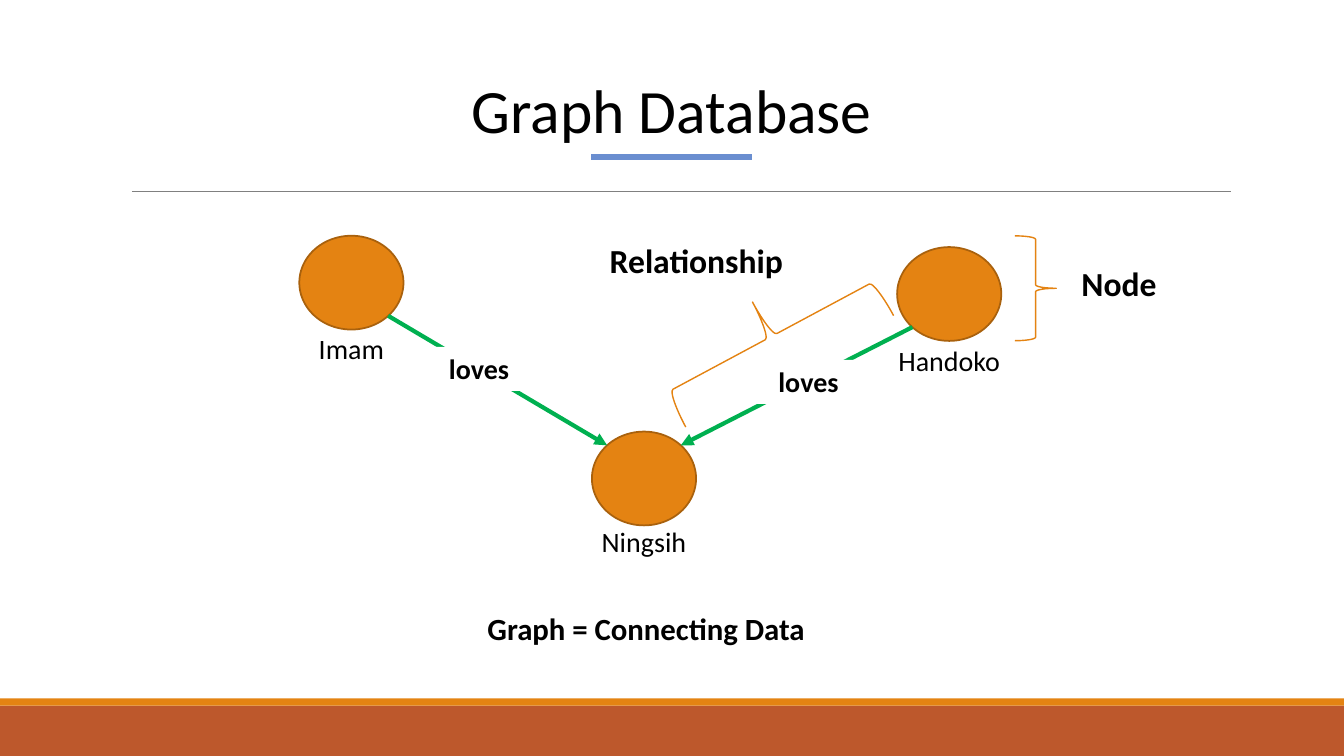
from math import sqrt

from lxml.etree import SubElement
from pptx import Presentation
from pptx.dml.color import RGBColor
from pptx.enum.shapes import MSO_CONNECTOR, MSO_SHAPE
from pptx.enum.text import MSO_ANCHOR, PP_ALIGN
from pptx.oxml.ns import qn
from pptx.util import Pt

BLACK = RGBColor(0x00, 0x00, 0x00)
WHITE = RGBColor(0xFF, 0xFF, 0xFF)
GRAY = RGBColor(0x80, 0x80, 0x80)
BLUE = RGBColor(0x6A, 0x8E, 0xD0)
GREEN = RGBColor(0x00, 0xB0, 0x50)
ORANGE = RGBColor(0xE4, 0x83, 0x12)
DARK_ORANGE = RGBColor(0xA9, 0x61, 0x0D)
RUST = RGBColor(0xBD, 0x58, 0x2C)

FONT = "Calibri"
SLIDE_WIDTH, SLIDE_HEIGHT = 960, 540
NODE_WIDTH, NODE_HEIGHT = 74.4, 67
LABEL_WIDTH, LABEL_HEIGHT = 95, 31.5
NODES = {
    "Handoko": (678, 210, 242),
    "Ningsih": (460, 341.8, 370.8),
    "Imam": (251, 201.9, 233.3),
}


def add_shape(slide, kind, box, fill=None, line=None, line_width=1):
    """Add a preset shape at a (left, top, width, height) box."""
    shape = slide.shapes.add_shape(kind, *map(Pt, box))
    shape.shadow.inherit = False
    if fill is None:
        shape.fill.background()
    else:
        shape.fill.solid()
        shape.fill.fore_color.rgb = fill
    if line is None:
        shape.line.fill.background()
    else:
        shape.line.color.rgb = line
        shape.line.width = Pt(line_width)
    return shape


def write_text(shape, text, size, bold=False, align=PP_ALIGN.CENTER):
    """Write one formatted paragraph into a shape."""
    frame = shape.text_frame
    frame.word_wrap = True
    frame.text = text
    paragraph = frame.paragraphs[0]
    paragraph.alignment = align
    font = paragraph.runs[0].font
    font.name, font.size, font.bold = FONT, Pt(size), bold
    font.color.rgb = BLACK
    return frame


def add_text(slide, box, text, size, bold=False, align=PP_ALIGN.CENTER):
    """Add a text box and return its text frame."""
    return write_text(slide.shapes.add_textbox(*map(Pt, box)), text, size, bold, align)


def add_line(slide, start, end, color, width, arrow=False):
    """Add a straight line, with an arrowhead at its end if wanted."""
    line = slide.shapes.add_connector(
        MSO_CONNECTOR.STRAIGHT, *map(Pt, (*start, *end))
    )
    line.line.color.rgb = color
    line.line.width = Pt(width)
    if arrow:
        SubElement(line.line._get_or_add_ln(), qn("a:tailEnd"), type="triangle")
    SubElement(line._element.spPr, qn("a:effectLst"))


def rim_point(name, x_side, y_side):
    """Return the diagonal point on a node's rim, each side being -1 or 1."""
    center_x, center_y, _ = NODES[name]
    return (
        center_x + x_side * NODE_WIDTH / sqrt(8),
        center_y + y_side * NODE_HEIGHT / sqrt(8),
    )


def add_node(slide, name):
    """Add a person's node with the name below it."""
    center_x, center_y, label_top = NODES[name]
    box = (center_x - NODE_WIDTH / 2, center_y - NODE_HEIGHT / 2, NODE_WIDTH, NODE_HEIGHT)
    add_shape(slide, MSO_SHAPE.OVAL, box, ORANGE, DARK_ORANGE, 1.25)
    label_box = (center_x - LABEL_WIDTH / 2, label_top, LABEL_WIDTH, LABEL_HEIGHT)
    add_text(slide, label_box, name, 20)


def add_relationship(slide, source, target, side, label_left, label_top):
    """Add an arrow between two nodes with its label on top."""
    start, end = rim_point(source, side, 1), rim_point(target, -side, -1)
    add_line(slide, start, end, GREEN, 3, arrow=True)
    label_box = (label_left, label_top, 75, LABEL_HEIGHT)
    label = add_shape(slide, MSO_SHAPE.RECTANGLE, label_box, WHITE)
    write_text(label, "loves", 20, bold=True).vertical_anchor = MSO_ANCHOR.TOP


def add_brace(slide, box, rotation=0):
    """Add a right brace, turned by the given degrees."""
    brace = add_shape(slide, MSO_SHAPE.RIGHT_BRACE, box, line=ORANGE)
    brace.rotation = rotation


def add_frame(slide):
    """Add the footer bands, the title and its rules."""
    add_shape(slide, MSO_SHAPE.RECTANGLE, (0, 504, SLIDE_WIDTH, 36), RUST)
    add_shape(slide, MSO_SHAPE.RECTANGLE, (0, 498.8, SLIDE_WIDTH, 5.2), ORANGE)
    add_line(slide, (94.3, 136.8), (879, 136.8), GRAY, 0.5)
    title = add_text(slide, (66, 28.8, 828, 104.4), "Graph Database", 44)
    title.vertical_anchor = MSO_ANCHOR.MIDDLE
    title.paragraphs[0].line_spacing = 0.9
    add_line(slide, (422.5, 112.3), (537.3, 112.3), BLUE, 4.5)


def main():
    """Build the graph database slide."""
    presentation = Presentation()
    presentation.slide_width = Pt(SLIDE_WIDTH)
    presentation.slide_height = Pt(SLIDE_HEIGHT)
    slide = presentation.slides.add_slide(presentation.slide_layouts[6])
    add_frame(slide)
    for name in NODES:
        add_node(slide, name)
    add_relationship(slide, "Handoko", "Ningsih", -1, 540, 257)
    add_relationship(slide, "Imam", "Ningsih", 1, 304.7, 247.7)
    add_text(slide, (282.2, 432, 358.6, 34), "Graph = Connecting Data", 22, True)
    add_brace(slide, (725, 168.5, 29.5, 74.9))
    add_text(slide, (765.4, 184.3, 72, 36), "Node", 24, True, PP_ALIGN.LEFT)
    add_text(slide, (428.4, 167.8, 174.2, 36), "Relationship", 24, True, PP_ALIGN.LEFT)
    add_brace(slide, (522.7, 156.2, 56.2, 168.5), 241.8)
    presentation.save("out.pptx")


if __name__ == "__main__":
    main()
